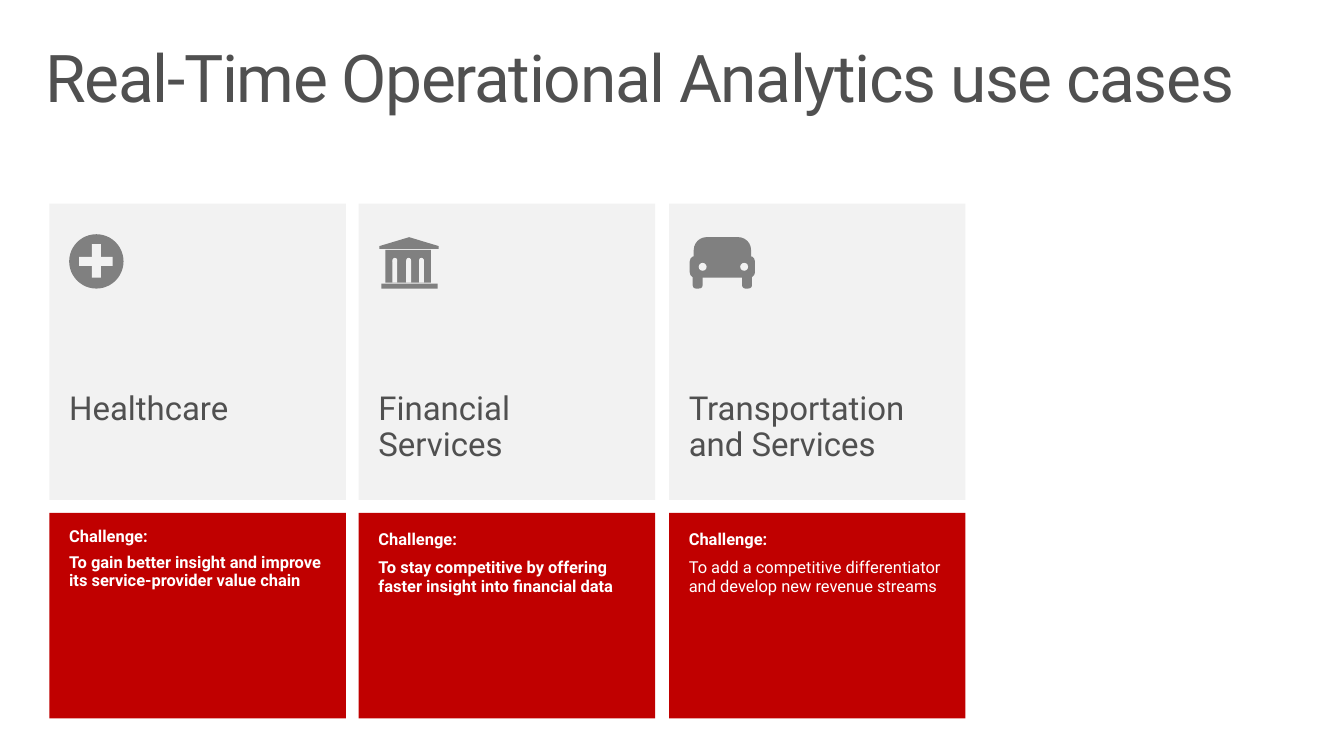
from pptx import Presentation
from pptx.dml.color import RGBColor
from pptx.enum.shapes import MSO_SHAPE as SHAPE
from pptx.enum.text import MSO_ANCHOR as ANCHOR, PP_ALIGN as ALIGN
from pptx.util import Pt

PX = 9144  # 100 px to the inch
COLORS = {"text": "505050", "card": "F2F2F2", "challenge": "C00000",
          "icon": "808080", "white": "FFFFFF"}

presentation = Presentation()
presentation.slide_width = 1360 * PX
presentation.slide_height = 765 * PX
slide = presentation.slides.add_slide(presentation.slide_layouts[6])


def add_block(kind, box, color, adjustments=()):
    shape = slide.shapes.add_shape(kind, *[length * PX for length in box])
    shape.shadow.inherit = False
    shape.fill.solid()
    shape.fill.fore_color.rgb = RGBColor.from_string(COLORS[color])
    shape.line.fill.background()
    for index, value in enumerate(adjustments):
        shape.adjustments[index] = value
    return shape


def write(shape, insets, lines, size, color, spacing=0.9, after=0, anchor=ANCHOR.TOP):
    """Each line is a (text, bold) pair and becomes one paragraph."""
    frame = shape.text_frame
    frame.word_wrap = True
    frame.vertical_anchor = anchor
    frame.margin_left = frame.margin_right = insets[0] * PX
    frame.margin_top, frame.margin_bottom = insets[1] * PX, insets[2] * PX
    for index, (text, bold) in enumerate(lines):
        paragraph = frame.add_paragraph() if index else frame.paragraphs[0]
        paragraph.alignment = ALIGN.LEFT
        paragraph.line_spacing = spacing
        paragraph.space_after = Pt(after)
        for part_index, part in enumerate(text.split("\n")):
            if part_index:
                paragraph.add_line_break()
            run = paragraph.add_run()
            run.text = part
            run.font.name = "Roboto"
            run.font.size = Pt(size)
            run.font.bold = bold
            run.font.color.rgb = RGBColor.from_string(COLORS[color])


# Title
title = slide.shapes.add_textbox(30 * PX, 32 * PX, 1300 * PX, 100 * PX)
write(title, (16, 10, 10), [("Real-Time Operational Analytics use cases", False)],
      48, "text", anchor=ANCHOR.MIDDLE)
title_run = title.text_frame.paragraphs[0].runs[0]
title_run.font._element.set("spc", "-100")

# Industry cards with the challenge below each
use_cases = [
    (50, "Healthcare", 0.9, True,
     "To gain better insight and improve its service-provider value chain"),
    (363, "Financial\nServices", Pt(14.4), True,
     "To stay competitive by offering faster insight into financial data"),
    (677, "Transportation and Services", Pt(14.4), False,
     "To add a competitive differentiator and develop new revenue streams"),
]
for left, industry, spacing, bold, challenge in use_cases:
    card = add_block(SHAPE.RECTANGLE, (left, 206, 300, 300), "card")
    write(card, (20, 191, 16), [(industry, False)], 24, "text")
    panel = add_block(SHAPE.RECTANGLE, (left, 519, 300, 208), "challenge")
    write(panel, (20, 16, 16), [("Challenge:", True), (challenge, bold)],
          12, "white", spacing, after=6)

# Medical cross icon
add_block(SHAPE.OVAL, (70, 237, 55, 55), "icon")
add_block(SHAPE.RECTANGLE, (93, 247, 9, 34), "card")
add_block(SHAPE.RECTANGLE, (80, 260, 34, 9), "card")

# Bank icon: base, hall, roof and the gaps between columns
add_block(SHAPE.RECTANGLE, (386, 287, 57, 5), "icon")
add_block(SHAPE.RECTANGLE, (390, 253, 46, 33), "icon")
add_block(SHAPE.ISOSCELES_TRIANGLE, (384, 240, 60, 9), "icon")
add_block(SHAPE.RECTANGLE, (384, 249, 60, 3), "icon")
for gap_left in (397, 411, 424):
    add_block(SHAPE.RECTANGLE, (gap_left, 264, 5, 22), "card")
    add_block(SHAPE.OVAL, (gap_left, 261, 5, 5), "card")

# Car icon: body, cabin, wheels and headlights
add_block(SHAPE.ROUNDED_RECTANGLE, (698, 259, 66, 22), "icon", [0.25])
add_block(SHAPE.ROUND_2_SAME_RECTANGLE, (702, 240, 58, 26), "icon", [0.5, 0])
for wheel_left, light_left in ((701, 707), (751, 749)):
    add_block(SHAPE.ROUNDED_RECTANGLE, (wheel_left, 271, 10, 21), "icon", [0.32])
    add_block(SHAPE.OVAL, (light_left, 266, 8, 8), "card")

presentation.save("out.pptx")
